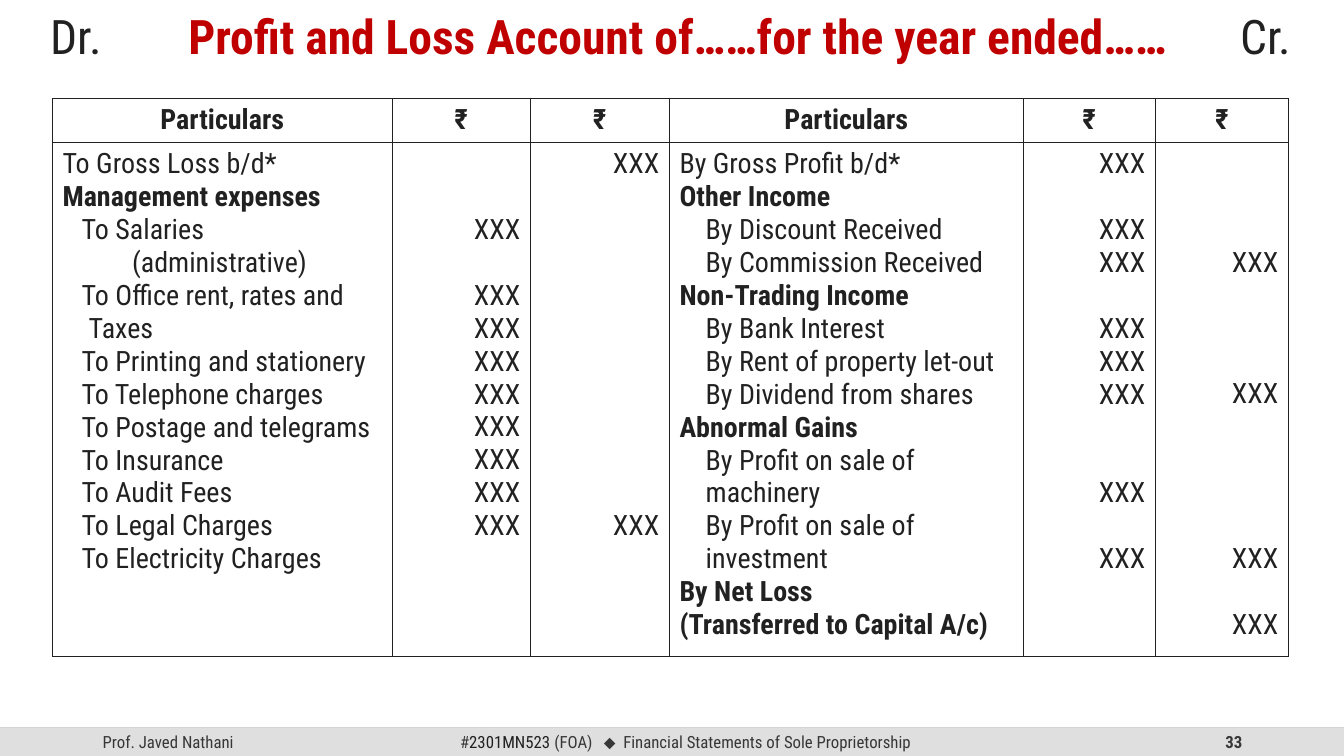
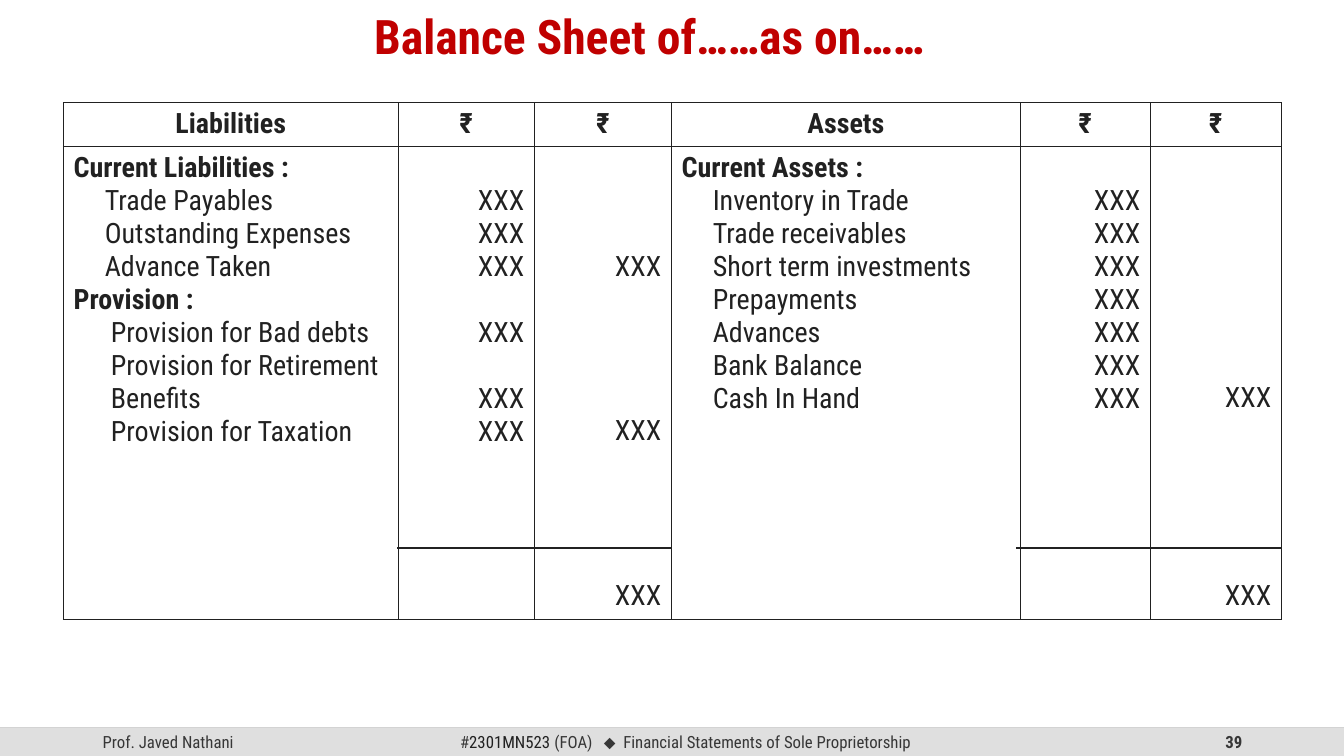
from typing import NamedTuple

from lxml import etree
from pptx import Presentation
from pptx.dml.color import RGBColor
from pptx.enum.shapes import MSO_CONNECTOR, MSO_SHAPE
from pptx.enum.text import MSO_ANCHOR, PP_ALIGN
from pptx.oxml.ns import qn
from pptx.util import Inches, Pt

INK = RGBColor(0x21, 0x21, 0x21)
RED = RGBColor(0xC0, 0x00, 0x00)
FOOTER_INK = RGBColor(0x37, 0x37, 0x37)
FOOTER_FILL = RGBColor(0xDF, 0xDF, 0xDF)
FOOTER_RULE = RGBColor(0xD2, 0xD2, 0xD2)
FONT = "Roboto Condensed"
SYMBOL_FONT = "Arial"
LEFT, CENTER, RIGHT = PP_ALIGN.LEFT, PP_ALIGN.CENTER, PP_ALIGN.RIGHT
MIDDLE = MSO_ANCHOR.MIDDLE
RECTANGLE = MSO_SHAPE.RECTANGLE
STRAIGHT = MSO_CONNECTOR.STRAIGHT

SLIDE_WIDTH, SLIDE_HEIGHT = 13.33, 7.5
FOOTER_TOP, FOOTER_HEIGHT = 7.22, 0.28
HEADER_HEIGHT = 0.43
CELL_MARGIN = 0.05
LINE_PITCH = 23.5
AMOUNT = "XXX"


class Entry(NamedTuple):
    text: str
    left: float = 0
    first: float = 0
    bold: bool = False


def heading(text):
    return Entry(text, bold=True)


def items(left, *texts):
    return [Entry(text, left) for text in texts]


def add_text(paragraph, text, size=20, color=INK, bold=False, font=FONT, spacing=0):
    for index, line in enumerate(text.split("\n")):
        if index:
            paragraph.add_line_break()
        run = paragraph.add_run()
        run.text = line
        run.font.size = Pt(size)
        run.font.color.rgb = color
        run.font.bold = bold
        run.font.name = font
        if spacing:
            run._r.get_or_add_rPr().set("spc", str(round(spacing * 100)))


def set_borders(cell):
    properties = cell._tc.get_or_add_tcPr()
    for index, side in enumerate(("lnL", "lnR", "lnT", "lnB")):
        border = etree.Element(qn(f"a:{side}"), w=str(Pt(1)))
        fill = etree.SubElement(border, qn("a:solidFill"))
        etree.SubElement(fill, qn("a:srgbClr"), val=str(INK))
        properties.insert(index, border)


class Deck:
    def __init__(self):
        self.presentation = Presentation()
        self.presentation.slide_width = Inches(SLIDE_WIDTH)
        self.presentation.slide_height = Inches(SLIDE_HEIGHT)
        self.slide = None

    def add_slide(self, number):
        self.slide = self.presentation.slides.add_slide(self.presentation.slide_layouts[6])
        self.footer(number)

    def line(self, left, right, y, color=INK, width=1.5):
        connector = self.slide.shapes.add_connector(
            STRAIGHT, Inches(left), Inches(y), Inches(right), Inches(y))
        connector.line.color.rgb = color
        connector.line.width = Pt(width)
        etree.SubElement(connector._element.spPr, qn("a:effectLst"))

    def text_box(self, left, top, width, height, runs, align=LEFT, margin=0.1, line_spacing=1.0):
        box = self.slide.shapes.add_textbox(
            Inches(left), Inches(top), Inches(width), Inches(height))
        frame = box.text_frame
        frame.word_wrap = True
        frame.vertical_anchor = MIDDLE
        frame.margin_left = frame.margin_right = Inches(margin)
        paragraph = frame.paragraphs[0]
        paragraph.alignment = align
        paragraph.line_spacing = line_spacing
        for text, style in runs:
            add_text(paragraph, text, **style)

    def footer(self, number):
        self.line(0, SLIDE_WIDTH, FOOTER_TOP, FOOTER_RULE, 1)
        band = self.slide.shapes.add_shape(
            RECTANGLE, 0, Inches(FOOTER_TOP), Inches(SLIDE_WIDTH), Inches(FOOTER_HEIGHT))
        band.shadow.inherit = False
        band.fill.solid()
        band.fill.fore_color.rgb = FOOTER_FILL
        band.line.fill.background()
        style = {"size": 12, "color": FOOTER_INK}
        course = [
            ("#", style),
            ("2301MN523 ", {"size": 12}),
            ("(FOA)", style),
            (" ", {**style, "spacing": 5.3}),
            ("⬥", {**style, "font": SYMBOL_FONT}),
            (" ", {**style, "spacing": 2.7}),
            ("Financial Statements of Sole Proprietorship", style),
        ]
        for left, width, runs, align in (
            (0.92, 3, [("Prof. Javed Nathani", style)], LEFT),
            (9.42, 3, [(str(number), {**style, "bold": True})], RIGHT),
            (4.18, 5.24, course, CENTER),
        ):
            self.text_box(left, FOOTER_TOP, width, FOOTER_HEIGHT, runs, align)

    def title(self, text, center=6.72, width=10, align=CENTER, color=RED, bold=True):
        style = {"size": 34, "color": color, "bold": bold}
        self.text_box(center - width / 2, 0, width, 0.78, [(text, style)], align, 0, 0.9)

    def entries(self, cell, entries, align=LEFT):
        frame = cell.text_frame
        for index, entry in enumerate(entries):
            paragraph = frame.add_paragraph() if index else frame.paragraphs[0]
            paragraph.alignment = align
            if entry.left:
                properties = paragraph._p.get_or_add_pPr()
                properties.set("marL", str(Inches(entry.left)))
                properties.set("indent", str(Inches(entry.first)))
            add_text(paragraph, entry.text, bold=entry.bold)

    def amounts(self, cell, lines):
        self.entries(cell, [Entry(AMOUNT)] * len(lines), RIGHT)
        cell.margin_top = Inches(CELL_MARGIN) + Pt(LINE_PITCH * lines[0])
        paragraphs = cell.text_frame.paragraphs
        for paragraph, previous, line in zip(paragraphs[1:], lines, lines[1:]):
            paragraph.space_before = Pt(LINE_PITCH * (line - previous - 1))

    def ledger(self, left, top, widths, body_height, headings, columns):
        table = self.slide.shapes.add_table(
            2, len(widths), Inches(left), Inches(top),
            Inches(sum(widths)), Inches(HEADER_HEIGHT + body_height)).table
        table.first_row = table.horz_banding = False
        table.rows[0].height = Inches(HEADER_HEIGHT)
        table.rows[1].height = Inches(body_height)
        for index, (width, content) in enumerate(zip(widths, columns)):
            table.columns[index].width = Inches(width)
            header, body = table.cell(0, index), table.cell(1, index)
            for cell in (header, body):
                cell.margin_top = cell.margin_bottom = Inches(CELL_MARGIN)
                cell.fill.background()
                set_borders(cell)
            is_amount = index % 3 > 0
            label = "₹" if is_amount else headings[index // 3]
            self.entries(header, [heading(label)], CENTER)
            if is_amount:
                self.amounts(body, content)
            else:
                self.entries(body, content)


def add_profit_and_loss(deck):
    deck.add_slide(33)
    deck.title("Dr.", 1, 1, LEFT, INK, False)
    deck.title("Profit and Loss Account of……for the year ended……")
    deck.title("Cr.", 12.31, 1, RIGHT, INK, False)
    debit = [
        Entry("To Gross Loss b/d*"),
        heading("Management expenses"),
        Entry("To Salaries\n(administrative)", 0.69, -0.5),
        Entry("To Office rent, rates and Taxes", 0.26, -0.07),
        *items(0.19, "To Printing and stationery", "To Telephone charges",
               "To Postage and telegrams", "To Insurance", "To Audit Fees",
               "To Legal Charges", "To Electricity Charges"),
    ]
    credit = [
        Entry("By Gross Profit b/d*"),
        heading("Other Income"),
        *items(0.26, "By Discount Received", "By Commission Received"),
        heading("Non-Trading Income"),
        *items(0.26, "By Bank Interest", "By Rent of property let-out",
               "By Dividend from shares"),
        heading("Abnormal Gains"),
        *items(0.26, "By Profit on sale of machinery", "By Profit on sale of investment"),
        heading("By Net Loss"),
        heading("(Transferred to Capital A/c)"),
    ]
    deck.ledger(
        0.52, 0.98, (3.37, 1.37, 1.38, 3.51, 1.31, 1.32), 5,
        ("Particulars", "Particulars"),
        (debit, (2, *range(4, 12)), (0, 11),
         credit, (0, 2, 3, 5, 6, 7, 10, 12), (3, 7, 12, 14)))


def add_balance_sheet(deck):
    deck.add_slide(39)
    deck.title("Balance Sheet of……as on……", 6.44)
    liabilities = [
        heading("Current Liabilities :"),
        *items(0.31, "Trade Payables", "Outstanding Expenses", "Advance Taken"),
        heading("Provision :"),
        *items(0.37, "Provision for Bad debts", "Provision for Retirement Benefits",
               "Provision for Taxation"),
    ]
    assets = [
        heading("Current Assets :"),
        *items(0.31, "Inventory in Trade", "Trade receivables", "Short term investments",
               "Prepayments", "Advances", "Bank Balance", "Cash In Hand"),
    ]
    deck.ledger(
        0.63, 1.02, (3.32, 1.35, 1.36, 3.46, 1.29, 1.3), 4.67,
        ("Liabilities", "Assets"),
        (liabilities, (1, 2, 3, 5, 7, 8), (3, 8, 13),
         assets, range(1, 8), (7, 13)))
    for left, right in ((3.94, 6.67), (10.08, 12.71)):
        deck.line(left, right, 5.44)


def main():
    deck = Deck()
    add_profit_and_loss(deck)
    add_balance_sheet(deck)
    deck.presentation.save("out.pptx")


if __name__ == "__main__":
    main()
